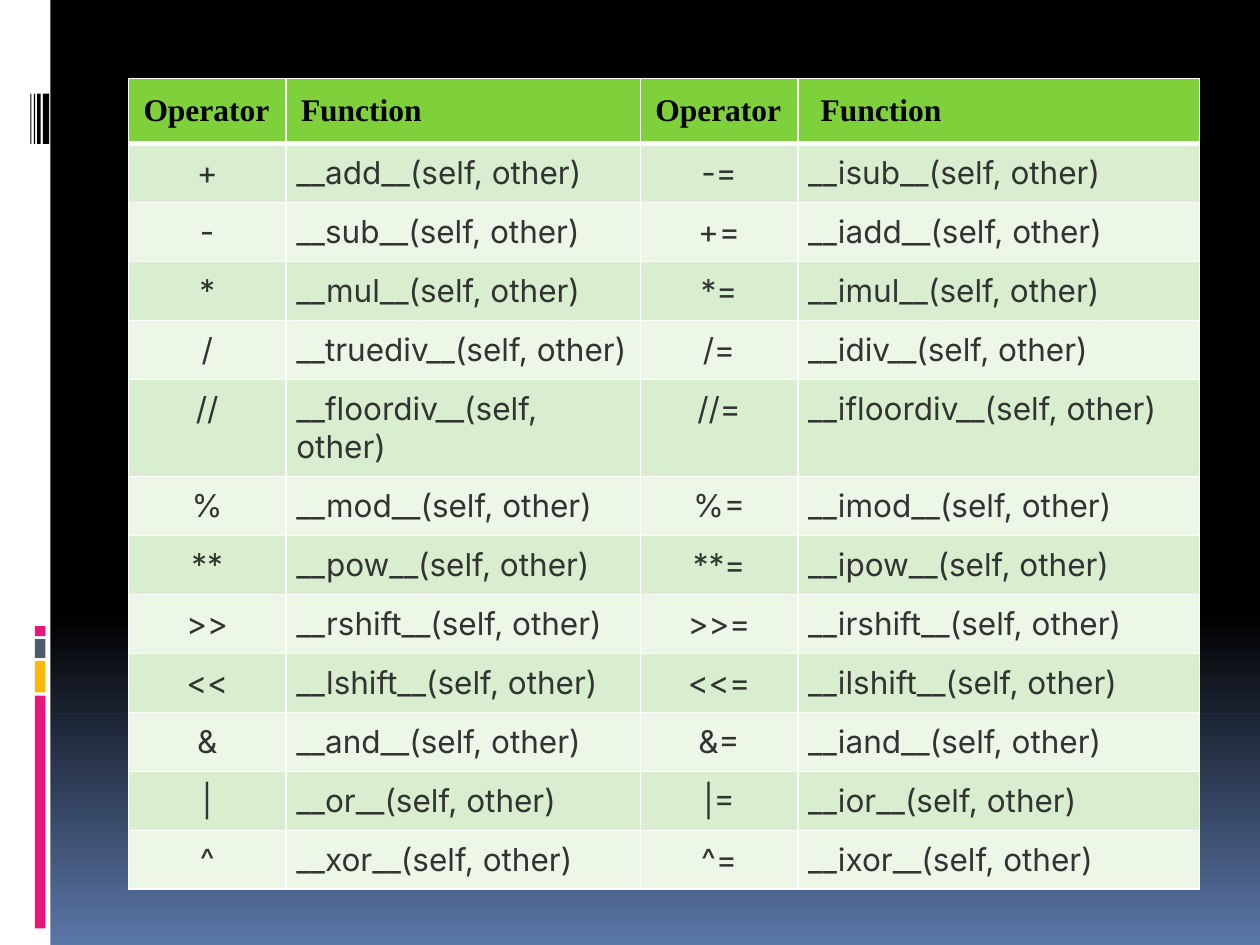
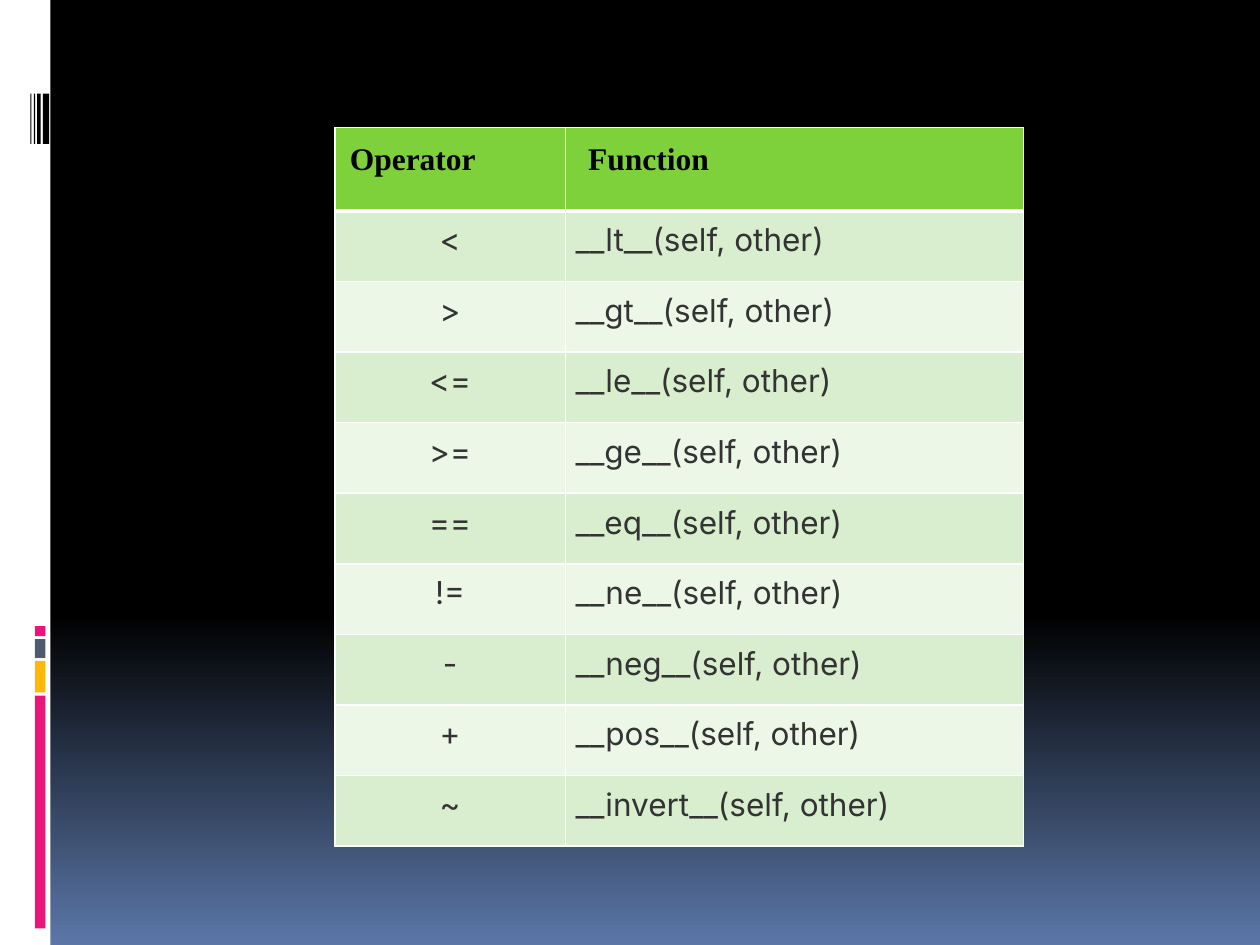
"""Builds two slides that list Python operators and their overloading methods."""
from dataclasses import dataclass

from lxml.etree import SubElement
from pptx import Presentation
from pptx.dml.color import RGBColor
from pptx.enum.shapes import MSO_SHAPE
from pptx.enum.text import PP_ALIGN
from pptx.oxml.ns import qn
from pptx.util import Pt


@dataclass(frozen=True)
class Theme:
    black: str = "000000"
    white: str = "FFFFFF"
    sky: str = "5B77A8"
    pink: str = "EA157A"
    amber: str = "FEB80A"
    slate: str = "4E5B6F"
    header: str = "7FD13B"
    bands: tuple = ("D8EECE", "ECF7E8")
    ink: str = "333333"
    head_font: str = "Times New Roman"
    body_font: str = "Inter"
    size: float = 18
    head_inset: float = 8.64
    body_inset: float = 6
    rule: float = 1
    head_rule: float = 3


T = Theme()

BARS = [
    (0, 0, 28.8, 540, T.white),
    (20, 397.6, 6, 133, T.pink),
    (20, 377.7, 6, 18, T.amber),
    (20, 365.2, 6, 10.8, T.slate),
    (20, 357.8, 6, 5.7, T.pink),
    (24.5, 53.5, 3.6, 28.8, T.black),
    (21.2, 53.5, 2, 28.8, T.black),
    (19.4, 53.5, 0.8, 28.8, T.black),
    (17.4, 53.5, 0.6, 28.8, T.black),
]

TABLES = [
    {
        "left": 73.4, "top": 44.8, "cols": (90, 202.5, 90, 229.5),
        "head_h": 34, "row_h": 29.5,
        "head": ("Operator", "Function", "Operator", " Function"),
        "rows": [
            "+ add -= isub", "- sub += iadd", "* mul *= imul",
            "/ truediv /= idiv", "// floordiv //= ifloordiv",
            "% mod %= imod", "** pow **= ipow", ">> rshift >>= irshift",
            "<< lshift <<= ilshift", "& and &= iand", "| or |= ior",
            "^ xor ^= ixor",
        ],
    },
    {
        "left": 191.3, "top": 73, "cols": (131.7, 262),
        "head_h": 47.5, "row_h": 40.35,
        "head": ("Operator", " Function"),
        "rows": [
            "< lt", "> gt", "<= le", ">= ge", "== eq", "!= ne",
            "- neg", "+ pos", "~ invert",
        ],
    },
]


def add_borders(cell, top, bottom):
    tcPr = cell._tc.get_or_add_tcPr()
    for tag, width in (("lnL", T.rule), ("lnR", T.rule), ("lnT", top), ("lnB", bottom)):
        ln = SubElement(tcPr, qn(f"a:{tag}"), w=str(Pt(width)))
        SubElement(SubElement(ln, qn("a:solidFill")), qn("a:srgbClr"), val=T.white)


def fill_cell(cell, text, align, row):
    is_head = row == 0
    add_borders(cell, T.head_rule if row == 1 else T.rule, T.head_rule if is_head else T.rule)
    cell.fill.solid()
    cell.fill.fore_color.rgb = RGBColor.from_string(T.header if is_head else T.bands[(row - 1) % 2])
    inset = Pt(T.head_inset if is_head else T.body_inset)
    cell.margin_left = cell.margin_right = cell.margin_top = cell.margin_bottom = inset
    p = cell.text_frame.paragraphs[0]
    p.alignment = align
    r = p.add_run()
    r.text = text
    r.font.name = T.head_font if is_head else T.body_font
    r.font.size = Pt(T.size)
    r.font.bold = is_head
    r.font.color.rgb = RGBColor.from_string(T.black if is_head else T.ink)


prs = Presentation()
prs.slide_width, prs.slide_height = Pt(720), Pt(540)

bg = prs.slide_master.background.fill
bg.gradient()
bg.gradient_angle = 270
for stop, position, color in zip(bg.gradient_stops, (0.65, 1), (T.black, T.sky)):
    stop.position = position
    stop.color.rgb = RGBColor.from_string(color)

for spec in TABLES:
    s = prs.slides.add_slide(prs.slide_layouts[6])
    for x, y, w, h, color in BARS:
        sp = s.shapes.add_shape(MSO_SHAPE.RECTANGLE, Pt(x), Pt(y), Pt(w), Pt(h))
        sp.shadow.inherit = False
        sp.fill.solid()
        sp.fill.fore_color.rgb = RGBColor.from_string(color)
        sp.line.fill.background()

    cols, rows = spec["cols"], spec["rows"]
    height = spec["head_h"] + spec["row_h"] * len(rows)
    table = s.shapes.add_table(
        len(rows) + 1, len(cols), Pt(spec["left"]), Pt(spec["top"]), Pt(sum(cols)), Pt(height)
    ).table
    for col, width in zip(table.columns, cols):
        col.width = Pt(width)
    for i, row in enumerate(table.rows):
        row.height = Pt(spec["row_h"] if i else spec["head_h"])

    for c, title in enumerate(spec["head"]):
        fill_cell(table.cell(0, c), title, PP_ALIGN.LEFT, 0)
    for i, line in enumerate(rows, start=1):
        for c, word in enumerate(line.split()):
            if c % 2:
                fill_cell(table.cell(i, c), f"__{word}__(self, other)", PP_ALIGN.JUSTIFY, i)
            else:
                fill_cell(table.cell(i, c), word, PP_ALIGN.CENTER, i)

prs.save("out.pptx")
